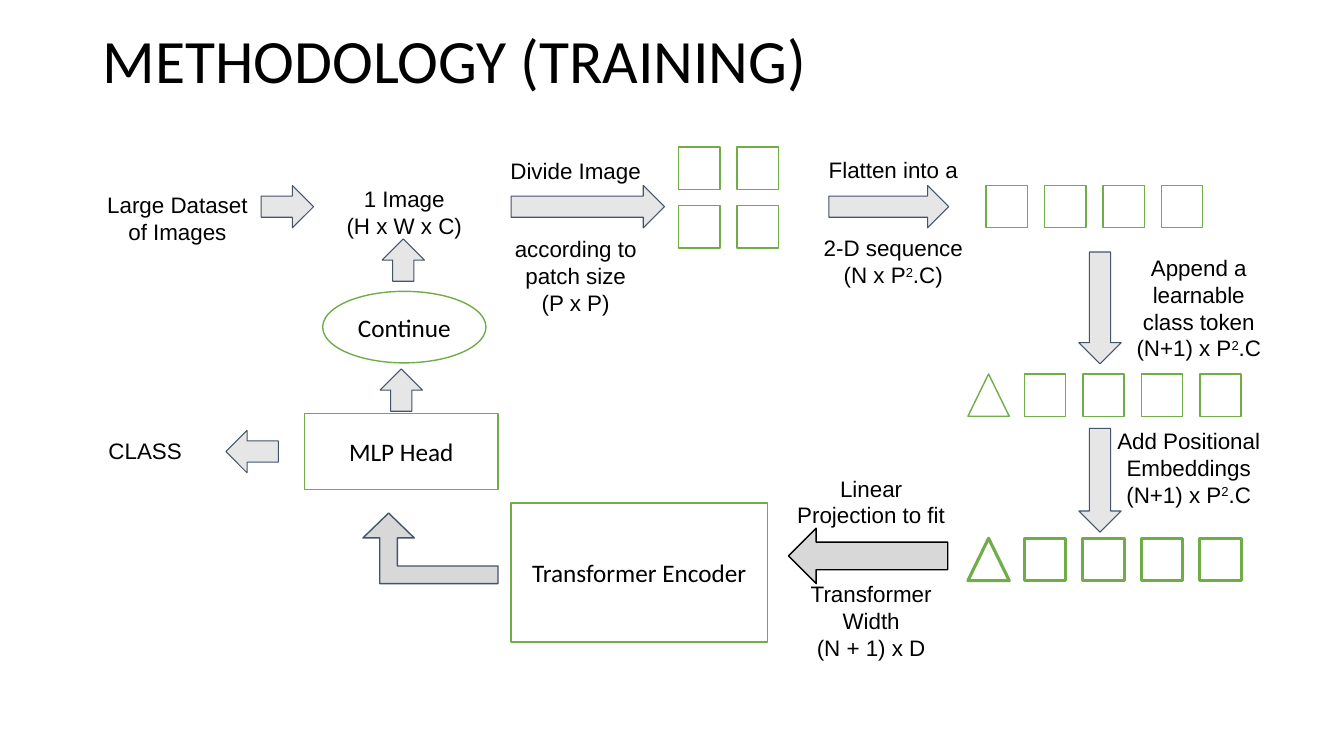
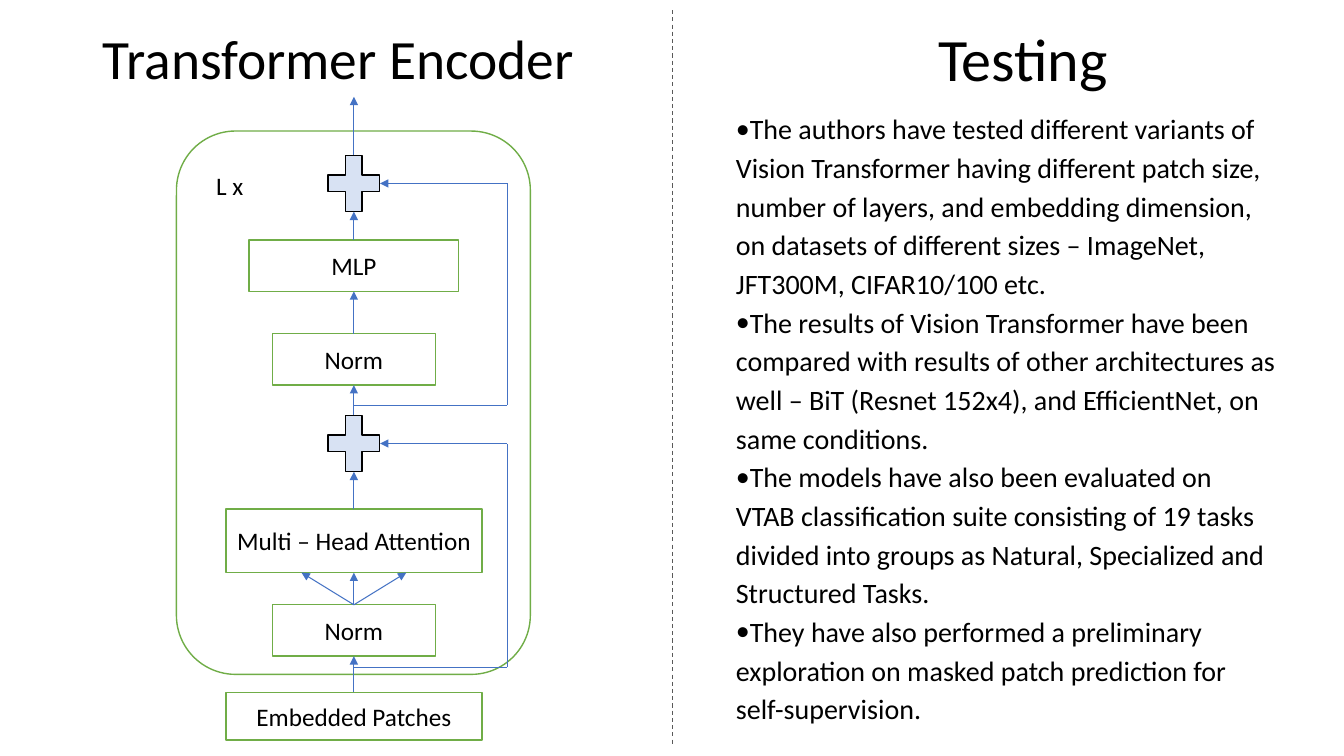
from lxml import etree
from pptx import Presentation
from pptx import util as u
from pptx.dml.color import RGBColor
from pptx.enum import dml, shapes, text
from pptx.oxml.ns import qn

KIND = shapes.MSO_SHAPE
ALIGN = text.PP_ALIGN
BLACK, WHITE, GREEN, BLUE = "000000", "FFFFFF", "70AD47", "4472C4"
SLATE, PALE, SILVER, ICE, GRAY = "44546A", "E7E6E6", "D8D8D8", "D8E2F3", "595959"
HEADING, CAPTION = "Calibri", "Arial"
ROOMY, SNUG = 0.1, 0.05  # top and bottom insets
PATCH = (0.41, 0.42)
PITCH = 0.58
STUB = 0.42  # breadth of the block arrows
TWO_LINES = 36.8  # room in points left for an arrow between two captions

# left, top, width, height, lines above the arrow, lines below it; ^2^ is raised
CAPTIONS = [
    (0.93, 1.8, 1.66, 0.96, ["Large Dataset of Images"], []),
    (3.18, 1.74, 1.66, 0.96, ["1 Image", "(H x W x C)"], []),
    (4.88, 1.46, 1.66, 1.76, ["Divide Image"], ["according to patch size", "(P x P)"]),
    (8.03, 1.45, 1.66, 1.76, ["Flatten into a"], ["2-D sequence", "(N x P^2^.C)"]),
    (11.06, 2.42, 1.66, 1.2, ["Append a learnable class token", "(N+1) x P^2^.C"], []),
    (10.96, 4.14, 1.66, 1.2, ["Add Positional Embeddings", "(N+1) x P^2^.C"], []),
    (7.74, 4.61, 1.8, 2.04, ["Linear Projection to fit"],
     ["Transformer Width", "(N + 1) x D"]),
    (0.61, 4.24, 1.66, 0.42, ["CLASS"], []),
]
STEP_ARROWS = [
    (KIND.RIGHT_ARROW, 2.59, 1.84, 0.52, STUB),
    (KIND.RIGHT_ARROW, 5.07, 1.84, 1.52, STUB),
    (KIND.RIGHT_ARROW, 8.22, 1.84, 1.19, STUB),
    (KIND.DOWN_ARROW, 10.7, 2.5, STUB, 1.11),
    (KIND.DOWN_ARROW, 10.7, 4.25, STUB, 1.03),
    (KIND.LEFT_ARROW, 2.24, 4.27, 0.52, STUB),
    (KIND.UP_ARROW, 3.77, 3.66, STUB, STUB),
    (KIND.UP_ARROW, 3.79, 2.37, STUB, STUB),
]
# left, top, columns, rows, line width, with a class token in front
PATCH_GRIDS = [
    (6.73, 1.46, 2, 2, 1, False),
    (9.78, 1.84, 4, 1, 1, False),
    (10.16, 3.71, 4, 1, 1, True),
    (10.16, 5.34, 4, 1, 2.25, True),
]
STAGES = [
    (KIND.RECTANGLE, 5.07, 4.99, 2.54, 1.38, "Transformer Encoder"),
    (KIND.RECTANGLE, 3.02, 4.1, 1.92, 0.76, "MLP Head"),
    (KIND.OVAL, 3.2, 2.89, 1.62, 0.71, "Continue"),
]

AXIS, SKIP_X = 3.51, 5.03
# name: top, width, height, label; all are centred on the axis
LAYERS = {
    "input": (6.87, 2.54, 0.47, "Embedded Patches"),
    "norm 1": (6, 1.62, 0.51, "Norm"),
    "attention": (5.05, 2.54, 0.63, "Multi – Head Attention"),
    "norm 2": (3.31, 1.62, 0.51, "Norm"),
    "mlp": (2.38, 2.08, 0.51, "MLP"),
}
PLUS_SIZE = (0.7, 0.76)
PLUS_REACH = (0.26, 0.28)  # from the middle of a plus to its tips
# middle of the plus, height where its skip line starts
SKIPS = [(4.4, 6.62), (1.82, 4.02)]
FINDINGS = [
    "The authors have tested different variants of Vision Transformer having different "
    "patch size, number of layers, and embedding dimension, on datasets of different "
    "sizes – ImageNet, JFT300M, CIFAR10/100 etc.",
    "The results of Vision Transformer have been compared with results of other "
    "architectures as well – BiT (Resnet 152x4), and EfficientNet, on same conditions.",
    "The models have also been evaluated on VTAB classification suite consisting of 19 "
    "tasks divided into groups as Natural, Specialized and Structured Tasks.",
    "They have also performed a preliminary exploration on masked patch prediction for "
    "self-supervision.",
]


def color(value):
    return RGBColor.from_string(value)


def inches(*lengths):
    return [u.Inches(length) for length in lengths]


def style(para, size, font, align=ALIGN.CENTER, spacing=None):
    para.alignment = align
    if spacing:
        para.line_spacing = spacing
    for span in para.runs:
        span.font.size = u.Pt(size)
        span.font.name = font
        span.font.color.rgb = color(BLACK)


def prepare(frame, anchor, inset):
    frame.word_wrap = True
    frame.vertical_anchor = anchor
    frame.margin_left = frame.margin_right = u.Inches(0.1)
    frame.margin_top = frame.margin_bottom = u.Inches(inset)


def add_text(page, place, lines, anchor=text.MSO_ANCHOR.TOP, inset=ROOMY):
    """Add a text box and return its paragraphs; parts between ^ are raised."""
    frame = page.shapes.add_textbox(*inches(*place)).text_frame
    prepare(frame, anchor, inset)
    for index, line in enumerate(lines):
        para = frame.add_paragraph() if index else frame.paragraphs[0]
        for part, words in enumerate(line.split("^")):
            span = para.add_run()
            span.text = words
            if part % 2:
                span.font._element.set("baseline", "30000")
    return frame.paragraphs


def add_title(page, place, words, size, align=ALIGN.LEFT):
    para = add_text(page, place, [words], text.MSO_ANCHOR.MIDDLE, SNUG)[0]
    style(para, size, HEADING, align, 0.9)


def add_box(page, kind, place, fill=WHITE, line=GREEN, weight=1, label="", adjust=()):
    box = page.shapes.add_shape(kind, *inches(*place))
    box.shadow.inherit = False
    if fill:
        box.fill.solid()
        box.fill.fore_color.rgb = color(fill)
    else:
        box.fill.background()
    if line:
        box.line.color.rgb = color(line)
        box.line.width = u.Pt(weight)
    else:
        box.line.fill.background()
    for index, value in enumerate(adjust):
        box.adjustments[index] = value
    if label:
        prepare(box.text_frame, text.MSO_ANCHOR.MIDDLE, SNUG)
        box.text_frame.text = label
        style(box.text_frame.paragraphs[0], 18, HEADING)
    return box


def add_line(page, start, end, arrow=False, line=BLUE, dashed=False,
             below=None, above=None):
    """Draw a line; below and above are boxes it leaves at the top and enters at the bottom."""
    link = page.shapes.add_connector(
        shapes.MSO_CONNECTOR.STRAIGHT, *inches(*start, *end))
    link.line.color.rgb = color(line)
    link.line.width = u.Pt(0.75)
    if dashed:
        link.line.dash_style = dml.MSO_LINE.DASH
    if arrow:
        etree.SubElement(link.line._get_or_add_ln(), qn("a:tailEnd"), type="triangle")
    etree.SubElement(link._element.spPr, qn("a:effectLst"))
    if below:
        link.begin_connect(below, 0)
    if above:
        link.end_connect(above, 2)


def add_patches(page, left, top, columns, rows, weight, token):
    for row in range(rows):
        for column in range(columns):
            corner = (left + column * PITCH, top + row * PITCH)
            add_box(page, KIND.RECTANGLE, (*corner, *PATCH), weight=weight)
    if token:
        add_box(page, KIND.ISOSCELES_TRIANGLE, (left - 0.56, top, *PATCH), weight=weight)


def build_training(page):
    add_title(page, (0.92, 0.15, 11.5, 0.96), "METHODOLOGY (TRAINING)", 44)
    for *place, above, below in CAPTIONS:
        paras = add_text(page, place, above + below)
        for para in paras:
            style(para, 16, CAPTION)
        if below:
            paras[len(above)].space_before = u.Pt(TWO_LINES)
    for kind, *place in STEP_ARROWS:
        add_box(page, kind, place, PALE, SLATE, 0.75)
    for grid in PATCH_GRIDS:
        add_patches(page, *grid)
    for kind, *place, label in STAGES:
        add_box(page, kind, place, label=label)
    add_box(page, KIND.LEFT_ARROW, (7.82, 5.24, 1.58, 0.55), SILVER, BLACK)
    bend = add_box(page, KIND.BENT_UP_ARROW, (3.6, 5.09, 1.34, 0.7), SILVER, SLATE,
                   adjust=(0.25, 0.364, 0.353))
    bend._element.spPr.find(qn("a:xfrm")).set("flipH", "1")


def build_encoder(page):
    add_title(page, (0.92, 0.1, 5.21, 1.03), "Transformer Encoder", 39.6)
    layer = {}
    for name, (top, width, height, label) in LAYERS.items():
        place = (AXIS - width / 2, top, width, height)
        layer[name] = add_box(page, KIND.RECTANGLE, place, label=label)
    width, height = PLUS_SIZE
    for middle, _ in SKIPS:
        place = (AXIS - width / 2, middle - height / 2, width, height)
        add_box(page, KIND.MATH_PLUS, place, ICE, BLACK, adjust=[0.235])
    add_box(page, KIND.ROUNDED_RECTANGLE, (1.75, 1.3, 3.51, 5.39), None, adjust=[0.167])
    add_box(page, KIND.RECTANGLE, (1.91, 1.58, 0.74, 0.51), line=None, label="L x")

    reach_x, reach_y = PLUS_REACH
    (lower, _), (upper, _) = SKIPS
    climbs = [  # start height, end height, box below, box above
        (6.87, 6.51, "input", "norm 1"),
        (6, 5.68, "norm 1", "attention"),
        (5.05, lower + reach_y, "attention", None),
        (lower - reach_y, 3.82, None, "norm 2"),
        (3.31, 2.89, "norm 2", "mlp"),
        (2.38, upper + reach_y, "mlp", None),
        (upper - reach_y, 0.96, None, None),
    ]
    for start, end, below, above in climbs:
        add_line(page, (AXIS, start), (AXIS, end), True,
                 below=layer.get(below), above=layer.get(above))
    for side in (-0.52, 0.52):
        add_line(page, (AXIS, 6), (AXIS + side, 5.68), True, below=layer["norm 1"])
    for middle, start in SKIPS:
        corners = [(AXIS, start), (SKIP_X, start), (SKIP_X, middle),
                   (AXIS + reach_x, middle)]
        for index in range(3):
            add_line(page, corners[index], corners[index + 1], arrow=index == 2)


def build_testing(page):
    add_line(page, (6.67, 0.1), (6.67, 7.38), line=GRAY, dashed=True)
    add_title(page, (7.54, 0.1, 5.21, 1.03), "Testing", 42.9, ALIGN.CENTER)
    for para in add_text(page, (7.2, 0.96, 5.55, 5.72), FINDINGS):
        props = para._p.get_or_add_pPr()
        props.set("marL", "0")
        props.set("indent", "0")
        etree.SubElement(props, qn("a:buFont"), typeface=HEADING)
        etree.SubElement(props, qn("a:buChar"), char="•")
        style(para, 20, HEADING, ALIGN.LEFT, 1.15)


def main():
    deck = Presentation()
    deck.slide_width, deck.slide_height = inches(13.33, 7.5)
    for builders in ([build_training], [build_encoder, build_testing]):
        page = deck.slides.add_slide(deck.slide_layouts[6])
        for build in builders:
            build(page)
    deck.save("out.pptx")


if __name__ == "__main__":
    main()
